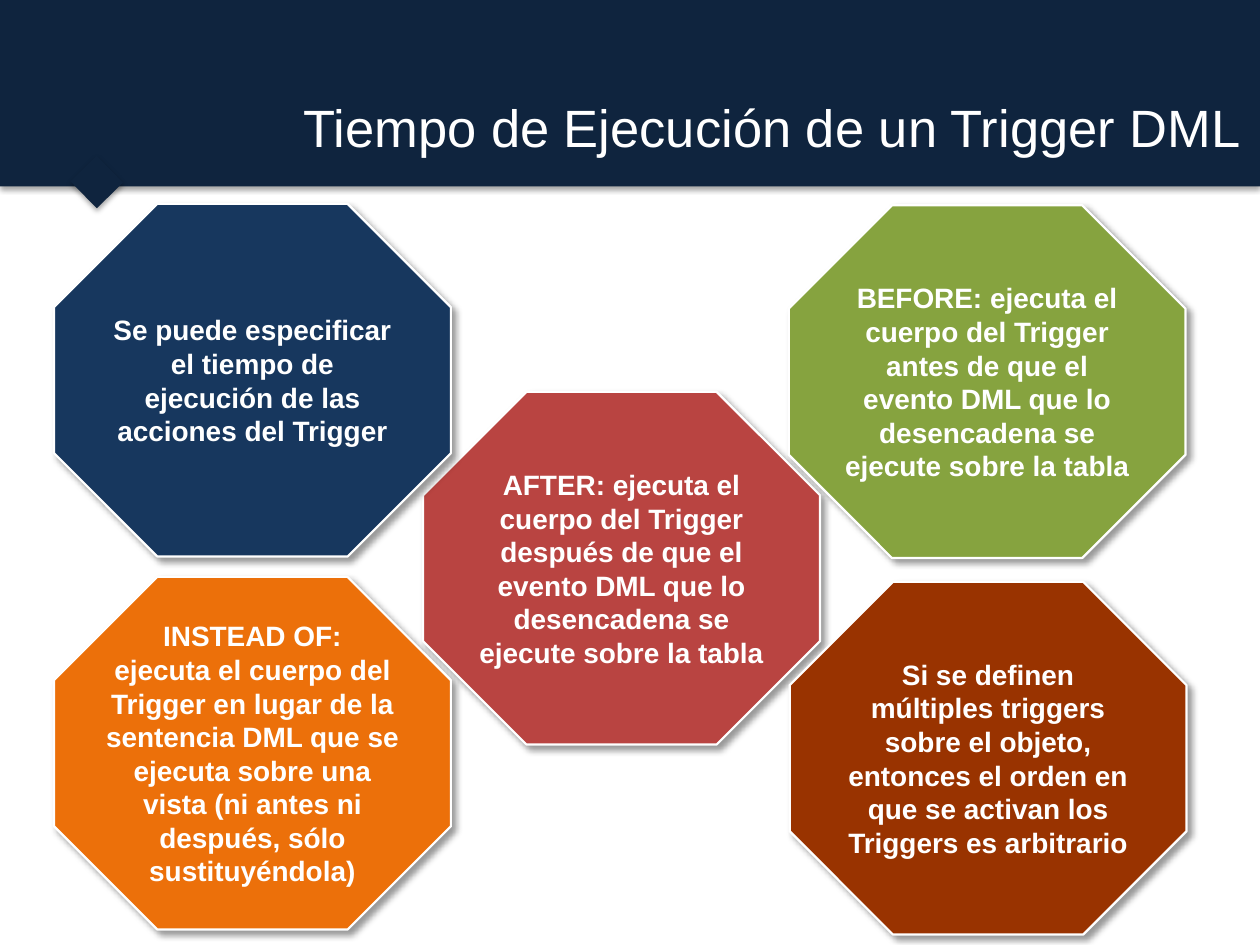
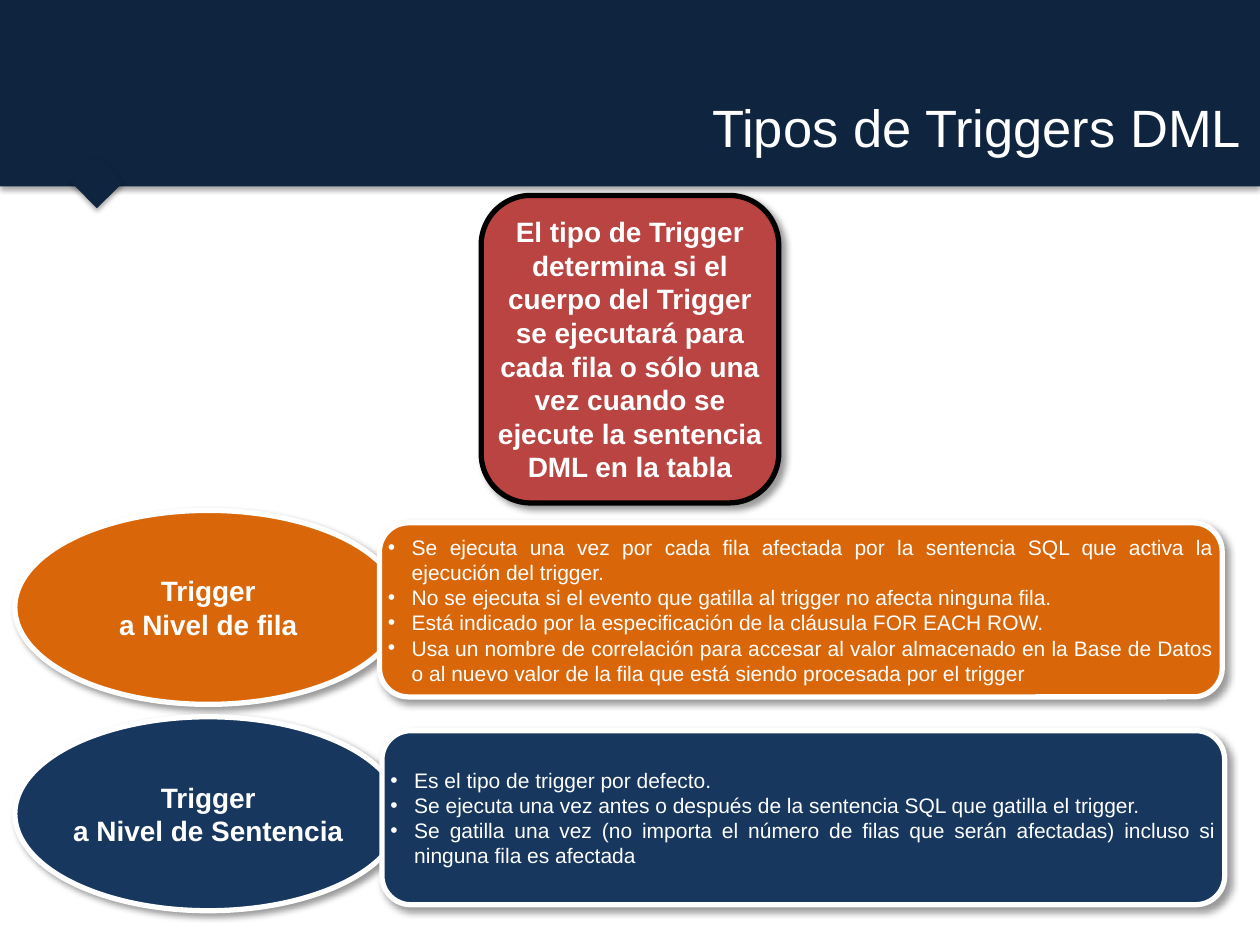
from dataclasses import dataclass

from lxml import etree
from pptx import Presentation
from pptx import util as u
from pptx.dml.color import RGBColor
from pptx.enum import shapes, text
from pptx.oxml.ns import qn
from pptx.shapes.autoshape import Shape
from pptx.slide import Slide

INK = RGBColor(0x0F, 0x24, 0x3E)
NAVY = RGBColor(0x17, 0x37, 0x5E)
RED = RGBColor(0xB9, 0x44, 0x41)
GREEN = RGBColor(0x86, 0xA3, 0x3F)
ORANGE = RGBColor(0xEC, 0x70, 0x0A)
AMBER = RGBColor(0xD9, 0x67, 0x09)
BROWN = RGBColor(0x99, 0x33, 0x00)
WHITE = RGBColor(0xFF, 0xFF, 0xFF)
BLACK = RGBColor(0x00, 0x00, 0x00)

FONT = "Arial"
WIDE, HIGH = 25.4, 19.05
KIND = shapes.MSO_SHAPE
ALIGN = text.PP_ALIGN
HANG = u.Cm(0.48)


@dataclass(frozen=True)
class Box:
    """A place on the slide, in centimetres."""
    left: float
    top: float
    width: float
    height: float

    def cm(self) -> list[u.Cm]:
        return [u.Cm(n) for n in (self.left, self.top, self.width, self.height)]


@dataclass(frozen=True)
class Shade:
    alpha: int
    blur: float
    dist: float
    angle: int


@dataclass(frozen=True)
class Card:
    kind: shapes.MSO_SHAPE
    box: Box
    fill: RGBColor
    lines: tuple[str, ...]
    edge: RGBColor = WHITE
    weight: float = 3
    list: bool = False


BAND_SHADE = Shade(35, 3.1, 1.8, 90)
CARD_SHADE = Shade(40, 4, 3, 45)


def cast(shape: Shape, shade: Shade) -> None:
    """Give the shape an outer black shadow."""
    shape.shadow.inherit = False
    root = shape._element.spPr.find(qn("a:effectLst"))
    outer = etree.SubElement(
        root, qn("a:outerShdw"), blurRad=str(u.Pt(shade.blur)),
        dist=str(u.Pt(shade.dist)), dir=str(shade.angle * 60000),
        algn="ctr", rotWithShape="0")
    tone = etree.SubElement(outer, qn("a:srgbClr"), val=str(BLACK))
    etree.SubElement(tone, qn("a:alpha"), val=str(shade.alpha * 1000))


def write(shape: Shape, lines: tuple[str, ...], size: int, bold: bool,
          align: text.PP_ALIGN, dots: bool = False) -> None:
    frame = shape.text_frame
    frame.word_wrap = True
    frame.vertical_anchor = text.MSO_ANCHOR.MIDDLE
    for i, line in enumerate(lines):
        para = frame.add_paragraph() if i else frame.paragraphs[0]
        para.text = line
        para.alignment = align
        if dots:
            props = para._p.get_or_add_pPr()
            props.set("marL", str(HANG))
            props.set("indent", str(-HANG))
            etree.SubElement(props, qn("a:buFont"), typeface=FONT)
            etree.SubElement(props, qn("a:buChar"), char="•")
        para.font.name = FONT
        para.font.size = u.Pt(size)
        para.font.bold = bold
        para.font.color.rgb = WHITE


def draw(slide: Slide, kind: shapes.MSO_SHAPE, box: Box,
         fill: RGBColor, shade: Shade) -> Shape:
    shape = slide.shapes.add_shape(kind, *box.cm())
    shape.fill.solid()
    shape.fill.fore_color.rgb = fill
    cast(shape, shade)
    return shape


def place(slide: Slide, card: Card) -> None:
    shape = draw(slide, card.kind, card.box, card.fill, CARD_SHADE)
    shape.line.color.rgb = card.edge
    shape.line.width = u.Pt(card.weight)
    frame = shape.text_frame
    frame.margin_left = frame.margin_right = 0
    frame.margin_top = frame.margin_bottom = 0
    if card.list:
        write(shape, card.lines, 12, False, ALIGN.JUSTIFY, dots=True)
    else:
        write(shape, card.lines, 16, True, ALIGN.CENTER)


def start(deck: Presentation, title: str) -> Slide:
    """Add a slide with the top band, its pointer and the title."""
    slide = deck.slides.add_slide(deck.slide_layouts[6])
    band = draw(slide, KIND.RECTANGLE, Box(0, 0, WIDE, 3.76), INK, BAND_SHADE)
    tip = draw(slide, KIND.RECTANGLE, Box(1.57, 3.3, 0.76, 0.74), INK, BAND_SHADE)
    tip.rotation = 45.6
    for shape in (band, tip):
        shape.line.fill.background()
    head = slide.shapes.add_textbox(*Box(0.89, 0.53, 24.38, 4.06).cm())
    write(head, (title,), 30, False, ALIGN.RIGHT)
    return slide


def stop(left: float, top: float, fill: RGBColor, *lines: str) -> Card:
    return Card(KIND.OCTAGON, Box(left, top, 8, 7.11), fill, lines, weight=1.25)


def level(top: float, fill: RGBColor, name: str, box: tuple[float, float],
          *facts: str) -> tuple[Card, Card]:
    """Pair the ellipse that names a trigger level with its list of facts."""
    return (
        Card(KIND.OVAL, Box(0.3, top, 7.8, 3.91), fill, ("Trigger", name)),
        Card(KIND.ROUNDED_RECTANGLE, Box(*box, 16.99, 3.51), fill, facts,
             list=True),
    )


TIMES = (
    stop(8.53, 7.9, RED,
         "AFTER: ejecuta el cuerpo del Trigger después de que el evento DML "
         "que lo desencadena se ejecute sobre la tabla"),
    stop(15.9, 4.14, GREEN,
         "BEFORE: ejecuta el cuerpo del Trigger antes de que el evento DML "
         "que lo desencadena se ejecute sobre la tabla"),
    stop(1.09, 4.11, NAVY,
         "Se puede especificar el tiempo de ejecución de las acciones del Trigger"),
    stop(1.09, 11.63, ORANGE,
         "INSTEAD OF:",
         "ejecuta el cuerpo del Trigger en lugar de la sentencia DML que se "
         "ejecuta sobre una vista (ni antes ni después, sólo sustituyéndola)"),
    stop(15.92, 11.73, BROWN,
         "Si se definen múltiples triggers sobre el objeto, entonces el orden "
         "en que se activan los Triggers es arbitrario"),
)

TYPES = (
    Card(KIND.ROUNDED_RECTANGLE, Box(9.7, 3.94, 6, 6.2), RED,
         ("El tipo de Trigger determina si el cuerpo del Trigger se ejecutará "
          "para cada fila o sólo una vez cuando se ejecute la sentencia DML "
          "en la tabla",), edge=BLACK),
    *level(10.29, AMBER, "a Nivel de fila", (7.65, 10.54),
           "Se ejecuta una vez por cada fila afectada por la sentencia SQL que "
           "activa la ejecución del trigger.",
           "No se ejecuta si el evento que gatilla al trigger no afecta ninguna fila.",
           "Está indicado por la especificación de la cláusula FOR EACH ROW.",
           "Usa un nombre de correlación para accesar al valor almacenado en la "
           "Base de Datos o al nuevo valor de la fila que está siendo procesada "
           "por el trigger"),
    *level(14.45, NAVY, "a Nivel de Sentencia", (7.7, 14.73),
           "Es el tipo de trigger por defecto.",
           "Se ejecuta una vez antes o después de la sentencia SQL que gatilla "
           "el trigger.",
           "Se gatilla una vez (no importa el número de filas que serán "
           "afectadas) incluso si ninguna fila es afectada"),
)

PAGES = {
    "Tiempo de Ejecución de un Trigger DML": TIMES,
    "Tipos de Triggers DML": TYPES,
}


def main() -> None:
    deck = Presentation()
    deck.slide_width, deck.slide_height = u.Cm(WIDE), u.Cm(HIGH)
    for title, cards in PAGES.items():
        slide = start(deck, title)
        for card in cards:
            place(slide, card)
    deck.save("out.pptx")


if __name__ == "__main__":
    main()
